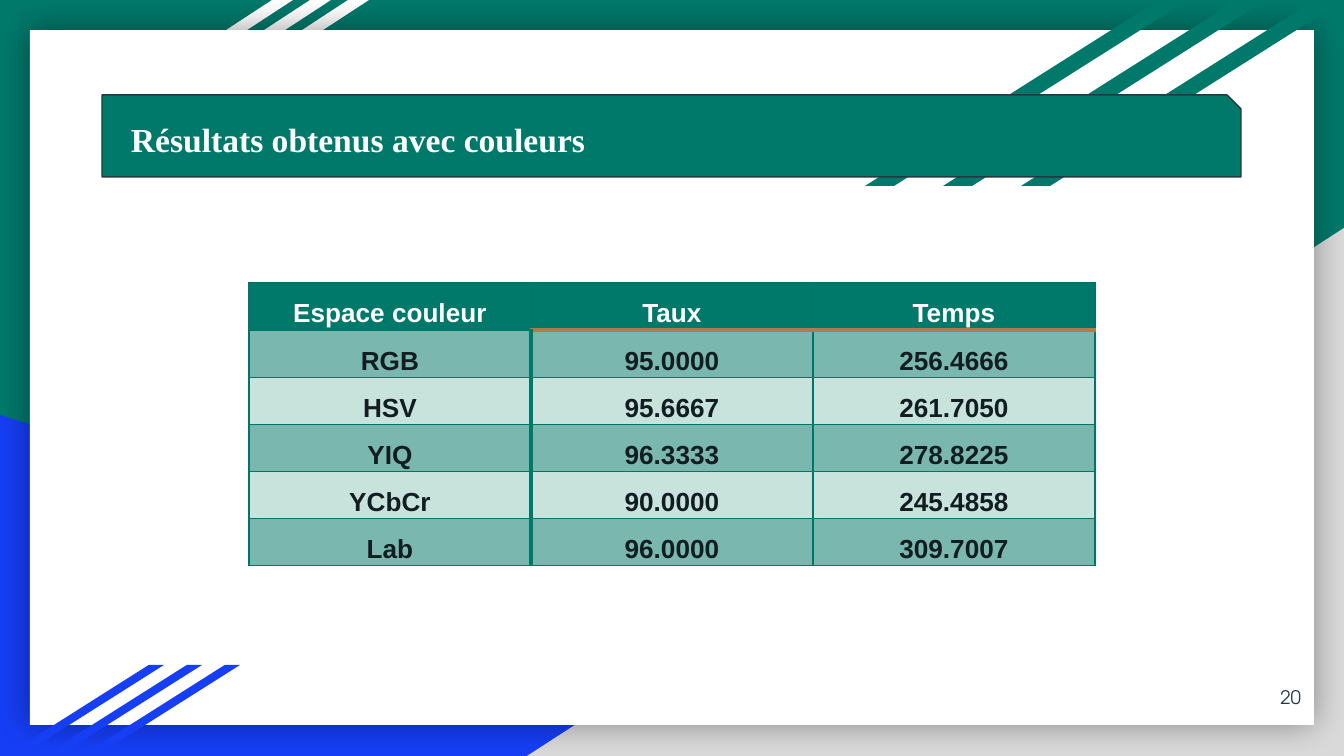
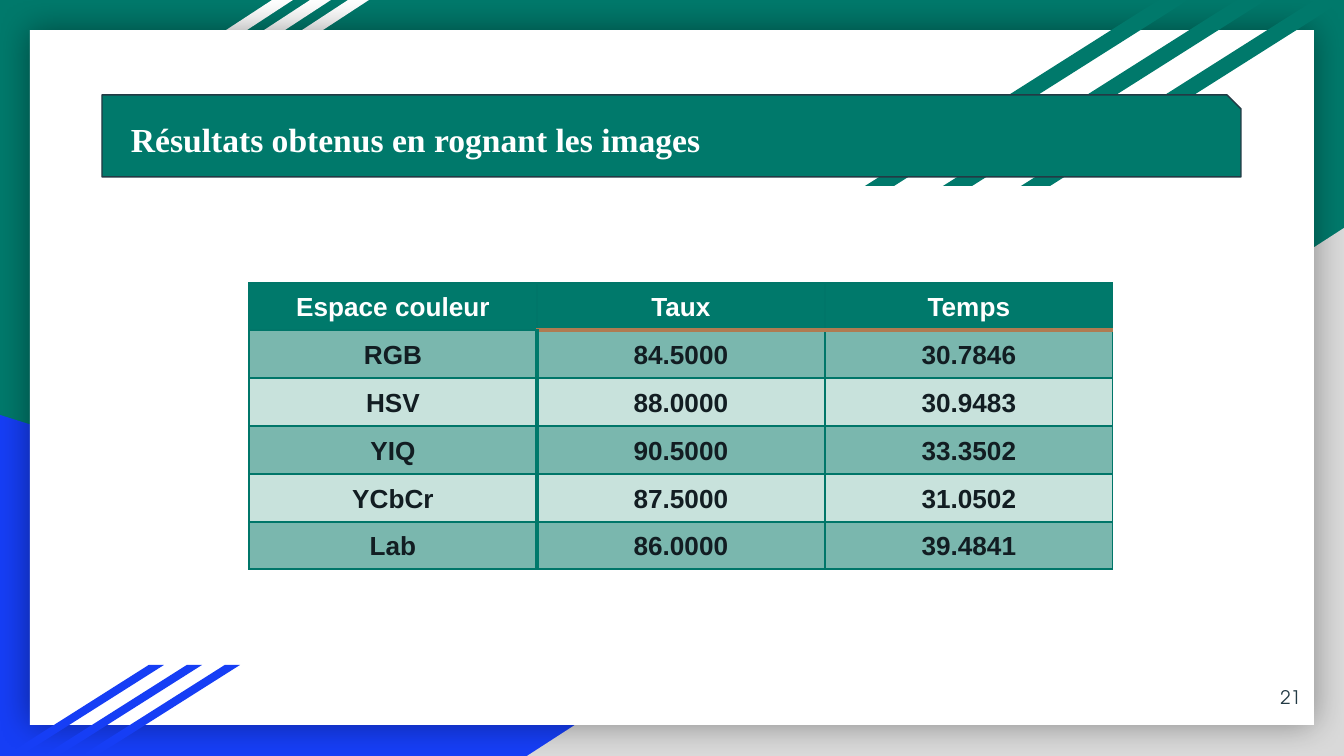
from lxml import etree
from pptx import Presentation
from pptx import util as u
from pptx.dml.color import RGBColor
from pptx.enum import shapes, text
from pptx.oxml.ns import qn

PX = 914400 / 134.4  # EMU in one px
SLIDE_W, SLIDE_H = 1344, 756

COLORS = {
    "green": "00796B",
    "blue": "163EF5",
    "grey": "D9D9D9",
    "white": "FFFFFF",
    "black": "000000",
    "slate": "233A44",
    "ink": "121D22",
    "grid": "007669",
    "bronze": "AF7B51",
    "row_dark": "7AB7AE",
    "row_light": "C8E2DC",
}
TITLE_FONT, TABLE_FONT, NUMBER_FONT = "Times New Roman", "Arial", "TeX Gyre Adventor"

HEADERS = ("Espace couleur", "Taux", "Temps")
RESULTS = [
    {
        "title": "Résultats obtenus avec couleurs",
        "number": 20,
        "column": 282,
        "row_heights": (45, 45, 45, 45, 45, 45),
        "spacing": 1.5,
        "rows": [
            ("RGB", "95.0000", "256.4666"),
            ("HSV", "95.6667", "261.7050"),
            ("YIQ", "96.3333", "278.8225"),
            ("YCbCr", "90.0000", "245.4858"),
            ("Lab", "96.0000", "309.7007"),
        ],
    },
    {
        "title": "Résultats obtenus en rognant les images",
        "number": 21,
        "column": 288,
        "row_heights": (47, 48, 48, 48, 48, 47),
        "spacing": 1.07,
        "rows": [
            ("RGB", "84.5000", "30.7846"),
            ("HSV", "88.0000", "30.9483"),
            ("YIQ", "90.5000", "33.3502"),
            ("YCbCr", "87.5000", "31.0502"),
            ("Lab", "86.0000", "39.4841"),
        ],
    },
]


def px(length):
    return u.Emu(round(length * PX))


def rgb(name):
    return RGBColor.from_string(COLORS[name])


def add_block(slide, preset, box, color, adjust=None):
    block = slide.shapes.add_shape(preset, *map(px, box))
    block.shadow.inherit = False
    block.fill.solid()
    block.fill.fore_color.rgb = rgb(color)
    block.line.fill.background()
    if adjust is not None:
        block.adjustments[0] = adjust
    return block


def style_font(paragraph, name, size, color, bold=False):
    font = paragraph.font
    font.name, font.size, font.bold = name, u.Pt(size), bold
    font.color.rgb = rgb(color)


def set_frame(frame, inset):
    frame.word_wrap = True
    frame.vertical_anchor = text.MSO_ANCHOR.MIDDLE
    frame.margin_left = frame.margin_right = px(inset)
    frame.margin_top = frame.margin_bottom = px(inset)


def add_stripes(slide, box, step, color, adjust):
    """Three slanted stripes; box is the leftmost one."""
    left, top, width, height = box
    for i in reversed(range(3)):
        add_block(slide, shapes.MSO_SHAPE.PARALLELOGRAM,
                  (left + i * step, top, width, height), color, adjust)


def add_soft_shadow(block, blur, alpha):
    effects = block.element.spPr.find(qn("a:effectLst"))
    shadow = etree.SubElement(effects, qn("a:outerShdw"), blurRad=str(u.Pt(blur)),
                              algn="ctr", rotWithShape="0")
    tint = etree.SubElement(shadow, qn("a:srgbClr"), val=COLORS["black"])
    etree.SubElement(tint, qn("a:alpha"), val=str(alpha * 1000))


def add_backdrop(slide):
    slide.background.fill.solid()
    slide.background.fill.fore_color.rgb = rgb("green")

    # Corner triangles
    triangle = shapes.MSO_SHAPE.RIGHT_TRIANGLE
    add_block(slide, triangle, (0, 415, 1083, 341), "blue")
    right_corner = add_block(slide, triangle, (527, 228, 817, 528), "grey")
    right_corner.element.spPr.find(qn("a:xfrm")).set("flipH", "1")

    # White sheet between the stripes
    add_stripes(slide, (38, 0, 255, 153), 38, "white", 1.53)
    sheet = add_block(slide, shapes.MSO_SHAPE.RECTANGLE, (30, 30, 1284, 695), "white")
    add_soft_shadow(sheet, 18, 40)
    add_stripes(slide, (5, 665, 159, 91), 38, "blue", 1.58)
    add_stripes(slide, (865, 0, 323, 186), 78, "green", 1.58)


def add_page_number(slide, box, number):
    frame = slide.shapes.add_textbox(*map(px, box)).text_frame
    set_frame(frame, 13)
    paragraph = frame.paragraphs[0]
    paragraph.text = str(number)
    paragraph.alignment = text.PP_ALIGN.RIGHT
    style_font(paragraph, NUMBER_FONT, 10, "slate")


def add_title(slide, box, title):
    banner = add_block(slide, shapes.MSO_SHAPE.SNIP_1_RECTANGLE, box, "green", 0.17)
    banner.line.color.rgb = rgb("slate")
    banner.line.width = u.Pt(0.75)
    set_frame(banner.text_frame, 13)
    paragraph = banner.text_frame.paragraphs[0]
    paragraph.text = title
    paragraph.alignment = text.PP_ALIGN.LEFT
    paragraph._p.get_or_add_pPr().set("marL", str(px(16)))
    style_font(paragraph, TITLE_FONT, 18, "white", bold=True)


def set_borders(cell, borders):
    """Borders map sides, in the order L, R, T, B, to (color, points)."""
    properties = cell._tc.get_or_add_tcPr()
    for side, (color, points) in borders.items():
        line = etree.SubElement(properties, qn("a:ln" + side), w=str(u.Pt(points)))
        fill = etree.SubElement(line, qn("a:solidFill"))
        etree.SubElement(fill, qn("a:srgbClr"), val=COLORS[color])


def cell_borders(row, column):
    thin, divider, underline = ("grid", 0.75), ("green", 2), ("bronze", 2)
    return {
        "L": divider if row and column == 1 else thin,
        "R": divider if row and column == 0 else thin,
        "T": underline if row == 1 and column else thin,
        "B": underline if row == 0 and column else thin,
    }


def add_results(slide, left, top, result):
    lines = [HEADERS, *result["rows"]]
    heights = result["row_heights"]
    width = result["column"] * len(HEADERS)
    table = slide.shapes.add_table(len(lines), len(HEADERS), px(left), px(top),
                                   px(width), px(sum(heights))).table
    table.horz_banding = False
    for column in table.columns:
        column.width = px(result["column"])

    for r, (values, height) in enumerate(zip(lines, heights)):
        table.rows[r].height = px(height)
        band = "green" if r == 0 else "row_dark" if r % 2 else "row_light"
        for c, value in enumerate(values):
            cell = table.cell(r, c)
            set_borders(cell, cell_borders(r, c))
            cell.fill.solid()
            cell.fill.fore_color.rgb = rgb(band)
            cell.vertical_anchor = text.MSO_ANCHOR.MIDDLE
            cell.margin_left = cell.margin_right = px(9)
            cell.margin_top = cell.margin_bottom = 0
            paragraph = cell.text_frame.paragraphs[0]
            paragraph.text = value
            paragraph.alignment = text.PP_ALIGN.CENTER
            paragraph.line_spacing = result["spacing"]
            paragraph.space_after = u.Pt(8)
            style_font(paragraph, TABLE_FONT, 14, "ink" if r else "white", bold=True)


def add_result_slide(deck, result):
    slide = deck.slides.add_slide(deck.slide_layouts[6])
    add_backdrop(slide)
    add_page_number(slide, (1234, 668, 80, 58), result["number"])
    add_title(slide, (102, 95, 1139, 82), result["title"])
    add_results(slide, 249, 283, result)


def main():
    deck = Presentation()
    deck.slide_width, deck.slide_height = px(SLIDE_W), px(SLIDE_H)
    for result in RESULTS:
        add_result_slide(deck, result)
    deck.save("out.pptx")


if __name__ == "__main__":
    main()
